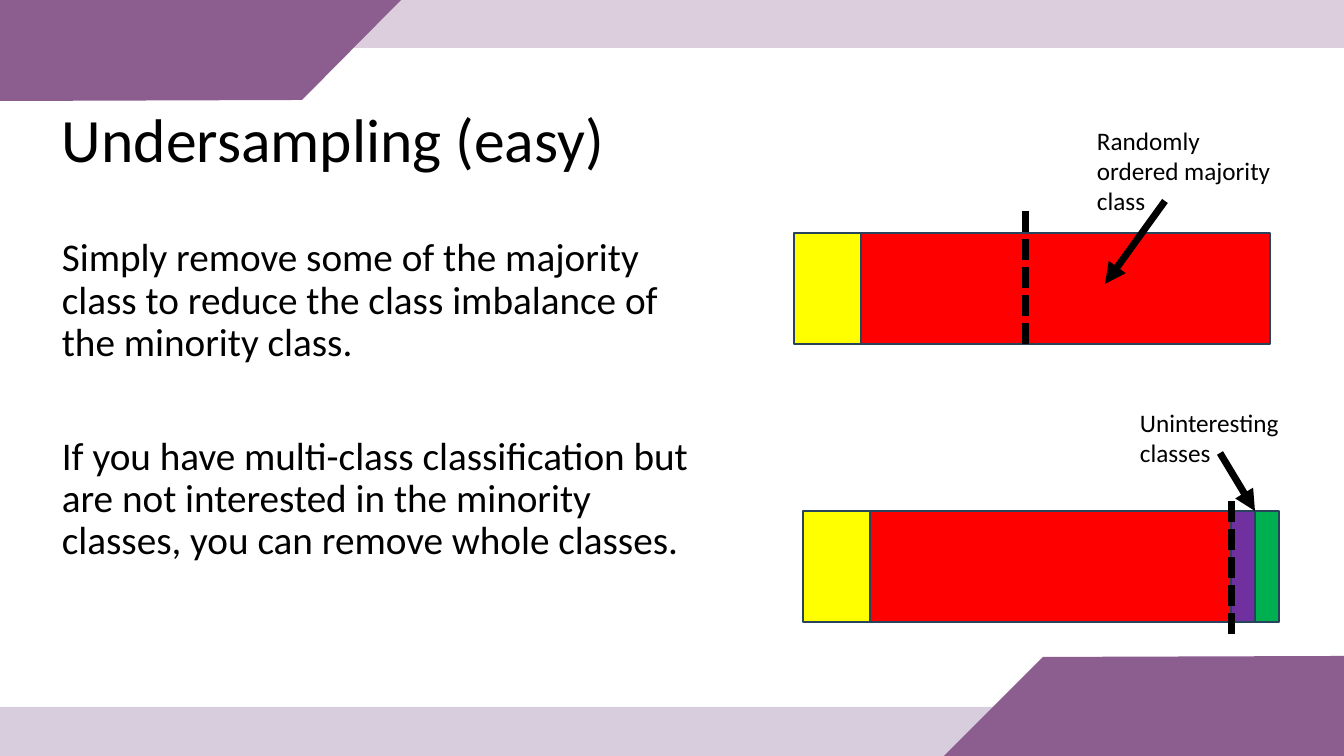
from lxml.etree import SubElement as Sub
from pptx import Presentation
from pptx.dml.color import RGBColor as RGB
from pptx.enum.dml import MSO_LINE
from pptx.enum.shapes import MSO_CONNECTOR as Link, MSO_SHAPE as Kind
from pptx.oxml.ns import qn
from pptx.util import Emu, Pt

PX = 914400 / 100.8
MAUVE, PLUM, EDGE, BLACK = "8C5D8F", "7C5A8E", "28445D", "000000"
YELLOW, RED, PURPLE, GREEN = "FFFF00", "FF0000", "7030A0", "00B050"


def px(*vals):
    return [Emu(round(v * PX)) for v in vals]


def paint(fmt, tone):
    fmt.solid()
    fmt.fore_color.rgb = RGB.from_string(tone)


def assign(item, vals):
    for name, val in vals.items():
        setattr(item, name, val)


def add_rect(slide, box, tone, alpha=None, edge=None):
    rect = slide.shapes.add_shape(Kind.RECTANGLE, *px(*box))
    rect.shadow.inherit = False
    paint(rect.fill, tone)
    if alpha:
        clr = rect.fill._xPr.find(".//" + qn("a:srgbClr"))
        Sub(clr, qn("a:alpha"), val=str(alpha * 1000))
    if edge:
        paint(rect.line.fill, edge)
        rect.line.width = Pt(1)
    else:
        rect.line.fill.background()


def add_wedge(slide, points, tone):
    pen = slide.shapes.build_freeform(*points[0], scale=PX)
    pen.add_line_segments(points[1:], close=True)
    wedge = pen.convert_to_shape()
    wedge.shadow.inherit = False
    paint(wedge.fill, tone)
    wedge.line.fill.background()


def add_text(slide, box, paras, size, lead=1.0, gap=0):
    frame = slide.shapes.add_textbox(*px(*box)).text_frame
    frame.word_wrap = True
    for i, text in enumerate(paras):
        para = frame.add_paragraph() if i else frame.paragraphs[0]
        para.text = text
        assign(para, {"line_spacing": lead, "space_before": Pt(gap if i else 0)})
        assign(para.font, {"name": "Calibri", "size": Pt(size)})
        paint(para.font.fill, BLACK)


def add_line(slide, ends, dash=None, arrow=False):
    link = slide.shapes.add_connector(Link.STRAIGHT, *px(*ends))
    paint(link.line.fill, BLACK)
    assign(link.line, {"width": Pt(5), "dash_style": dash})
    props = link._element.spPr
    if arrow:
        Sub(props.find(qn("a:ln")), qn("a:tailEnd"), type="triangle")
    Sub(props, qn("a:effectLst"))


def add_bar(slide, left, top, parts):
    for wide, tone in parts:
        add_rect(slide, (left, top, wide, 111), tone, edge=EDGE)
        left += wide


def add_cut(slide, x, foot):
    add_line(slide, (x, foot, x, foot - 136), dash=MSO_LINE.SQUARE_DOT)


def main():
    deck = Presentation()
    deck.slide_width, deck.slide_height = px(1344, 756)
    slide = deck.slides.add_slide(deck.slide_layouts[6])

    # Bands and corner wedges
    add_rect(slide, (128, 0, 1216, 48), MAUVE, alpha=30)
    add_wedge(slide, [(0, 0), (401, 0), (302, 100), (0, 101)], MAUVE)
    add_rect(slide, (0, 707, 1092, 49), PLUM, alpha=30)
    add_wedge(slide, [(944, 756), (1043, 657), (1344, 656), (1344, 756)], MAUVE)

    # Title and body
    add_text(slide, (52, 104, 1217, 90), ["Undersampling (easy)"], 44, lead=0.9)
    add_text(slide, (52, 233, 671, 361), [
        "Simply remove some of the majority class to reduce the class "
        "imbalance of the minority class.",
        "If you have multi-class classification but are not interested in "
        "the minority classes, you can remove whole classes.",
    ], 28, lead=0.9, gap=51)

    # Two-class bar
    add_bar(slide, 794, 233, [(67, YELLOW), (409, RED)])
    add_cut(slide, 1026, 344)
    add_text(slide, (1087, 120, 201, 102), ["Randomly ordered majority class"], 18)
    add_line(slide, (1165, 201, 1105, 284), arrow=True)

    # Multi-class bar
    add_bar(slide, 803, 511,
            [(67, YELLOW), (361, RED), (24, PURPLE), (24, GREEN)])
    add_cut(slide, 1232, 634)
    add_text(slide, (1130, 402, 201, 72), ["Uninteresting classes"], 18)
    add_line(slide, (1220, 453, 1255, 511), arrow=True)

    deck.save("out.pptx")


if __name__ == "__main__":
    main()
